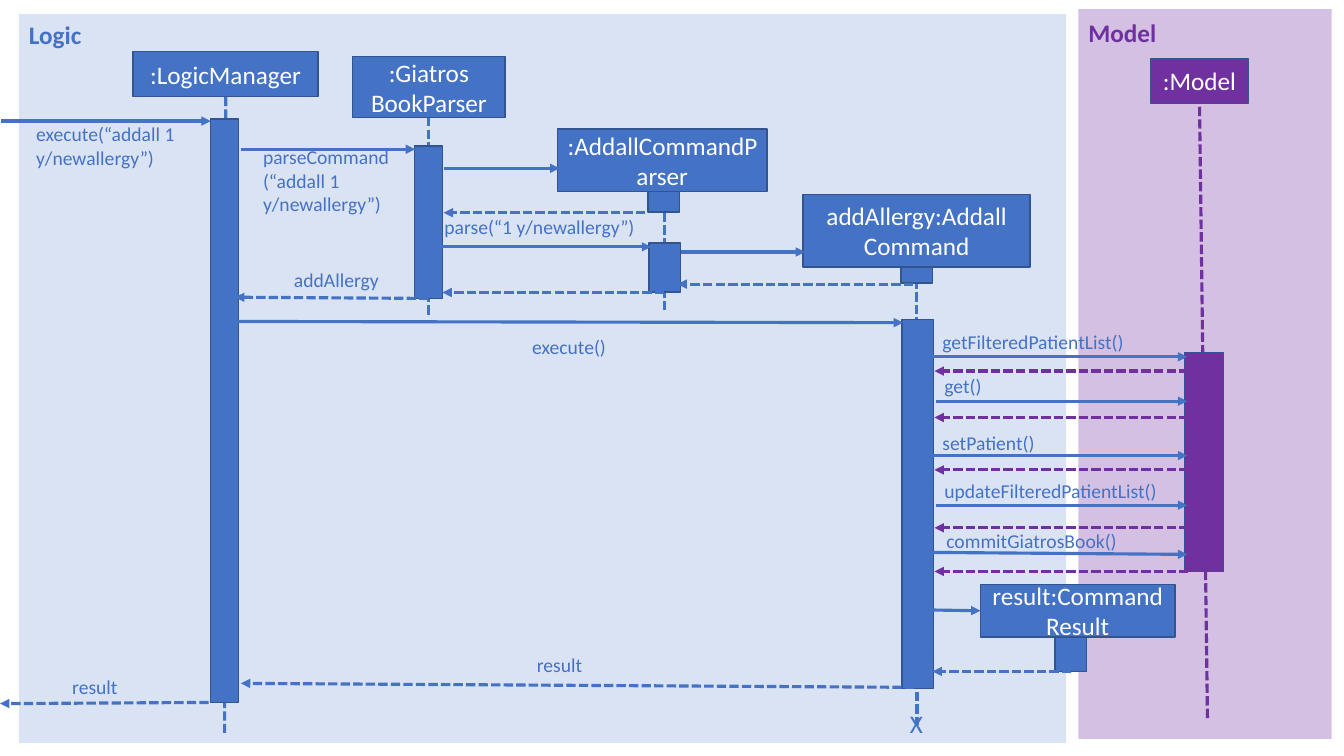
"""Sequence diagram of the addall command across the Logic and Model components."""
from dataclasses import dataclass

from lxml import etree
from pptx import Presentation
from pptx import util as u
from pptx.dml.color import RGBColor
from pptx.enum import dml, shapes, text
from pptx.oxml import ns

BLUE, PURPLE, PALE, EDGE, WHITE = "4472C4", "7030A0", "DAE3F3", "325491", "FFFFFF"


@dataclass
class Block:
    """A filled rectangle, in centimetres."""
    left: float
    top: float
    width: float
    height: float
    fill: str = BLUE
    edge: str | None = EDGE
    caption: str = ""
    opacity: int = 100


@dataclass
class Stroke:
    """A straight line, in centimetres."""
    x1: float
    y1: float
    x2: float
    y2: float
    color: str = BLUE
    dashed: bool = False
    arrow: bool = True


@dataclass
class Label:
    """Free text, in centimetres."""
    words: str
    left: float
    top: float
    width: float
    height: float = 0.87
    size: int = 14
    color: str = BLUE
    bold: bool = False


PANELS = [
    Block(0.48, 0.36, 26.39, 18.36, PALE, None),
    Block(27.18, 0.23, 6.38, 18.39, PURPLE, None, opacity=30),
]
LIFELINES = [Stroke(*ends, dashed=True, arrow=False) for ends in [
    (5.69, 2.44, 5.66, 18.47),
    (10.8, 2.95, 10.8, 7.95),
    (16.74, 5.05, 16.74, 7.87),
    (23.09, 6.73, 23.09, 9.14),
    (23.11, 15.85, 23.11, 18.26),
    (30.23, 2.69, 30.43, 18.16, PURPLE),
]]
ACTIVATIONS = [
    Block(5.31, 3, 0.71, 14.71),
    Block(10.44, 3.68, 0.71, 3.84),
    Block(16.33, 4.78, 0.79, 0.56),
    Block(16.36, 6.12, 0.79, 1.24),
    Block(22.71, 6.65, 0.79, 0.48),
    Block(22.73, 8.05, 0.79, 9.3),
    Block(26.59, 16.03, 0.79, 0.89),
    Block(29.85, 8.89, 0.99, 5.51, PURPLE),
]
PARTICIPANTS = [
    Block(3.35, 1.3, 4.67, 1.14, caption=":LogicManager"),
    Block(8.89, 1.42, 3.84, 1.55, caption=":Giatros\nBookParser"),
    Block(14.05, 3.25, 5.28, 1.57, caption=":AddallCommandParser"),
    Block(20.24, 4.9, 5.72, 1.83, caption="addAllergy:Addall\nCommand"),
    Block(24.71, 14.73, 4.9, 1.32, caption="result:CommandResult"),
    Block(29.01, 1.47, 2.44, 1.14, PURPLE, caption=":Model"),
]
CALLS = [Stroke(*ends) for ends in [
    (0.03, 3.05, 5.31, 3.05),
    (6.07, 3.76, 10.46, 3.76),
    (11.18, 4.24, 14.1, 4.24),
    (10.9, 6.22, 16.41, 6.22),
    (17.17, 6.35, 20.29, 6.35),
    (5.84, 8.1, 22.76, 8.13),
    (23.42, 15.37, 24.71, 15.39),
    (23.44, 8.99, 29.92, 8.99),
    (23.6, 10.11, 29.92, 10.11),
    (23.44, 11.48, 29.92, 11.48),
    (23.6, 12.73, 29.92, 12.73),
    (23.5, 13.92, 29.92, 13.97),
]]
LOGIC_RETURNS = [Stroke(*ends, dashed=True) for ends in [
    (16.26, 5.36, 11.18, 5.36),
    (23.01, 7.16, 17.07, 7.16),
    (16.74, 7.37, 11.15, 7.37),
    (10.8, 7.52, 5.92, 7.49),
    (27, 16.92, 23.5, 16.92),
    (23.04, 17.32, 6.07, 17.22),
    (5.26, 17.7, 0, 17.73),
]]
MODEL_RETURNS = [Stroke(29.95, y, 23.55, y, PURPLE, dashed=True)
                 for y in (9.35, 10.52, 11.84, 13.3, 14.4)]
LABELS = [
    Label("Logic", 0.48, 0.36, 2.5, 1.02, 18, bold=True),
    Label("Model", 27.18, 0.3, 2.6, 1.02, 18, PURPLE, True),
    Label("execute(“addall 1 y/newallergy”)", 0.66, 2.95, 5.03, 1.45),
    Label("parseCommand\n(“addall 1 y/newallergy”)", 6.38, 3.53, 4.24, 2.06),
    Label("parse(“1 y/newallergy”)", 10.95, 5.28, 7.26),
    Label("addAllergy", 7.16, 6.63, 4.24),
    Label("execute()", 13.16, 8.31, 2.84),
    Label("getFilteredPatientList()", 23.5, 8.2, 5.3),
    Label("get()", 23.55, 9.3, 1.6),
    Label("setPatient()", 23.5, 10.74, 3),
    Label("updateFilteredPatientList()", 23.55, 11.94, 6.1),
    Label("commitGiatrosBook()", 23.6, 13.21, 5),
    Label("result", 13.28, 16.33, 2.74),
    Label("result", 1.57, 16.87, 2.74),
    Label("X", 22.68, 17.73, 2.74, 1.02, 18),
]


def rgb(value: str) -> RGBColor:
    """Turn a hex string into a colour."""
    return RGBColor.from_string(value)


def write(frame, words: str, *, size: int, color: str, bold: bool = False,
          align=text.PP_ALIGN.LEFT, anchor=text.MSO_ANCHOR.TOP) -> None:
    """Fill a text frame, one paragraph per line of words."""
    frame.word_wrap = True
    frame.vertical_anchor = anchor
    frame.text = words
    for paragraph in frame.paragraphs:
        paragraph.alignment = align
        font = paragraph.font
        for run in paragraph.runs:
            font = run.font
            font.name, font.size, font.bold = "Calibri", u.Pt(size), bold
            font.color.rgb = rgb(color)


def draw_block(slide, block: Block) -> None:
    """Draw a rectangle with its caption."""
    box = slide.shapes.add_shape(
        shapes.MSO_SHAPE.RECTANGLE, u.Cm(block.left), u.Cm(block.top),
        u.Cm(block.width), u.Cm(block.height))
    box.shadow.inherit = False
    box.fill.solid()
    box.fill.fore_color.rgb = rgb(block.fill)
    if block.opacity < 100:
        tint = box.fill._xPr.find(".//" + ns.qn("a:srgbClr"))
        etree.SubElement(tint, ns.qn("a:alpha"), val=str(block.opacity * 1000))
    if block.edge:
        box.line.color.rgb = rgb(block.edge)
        box.line.width = u.Pt(1)
    else:
        box.line.fill.background()
    if block.caption:
        write(box.text_frame, block.caption, size=18, color=WHITE,
              align=text.PP_ALIGN.CENTER, anchor=text.MSO_ANCHOR.MIDDLE)


def draw_stroke(slide, stroke: Stroke) -> None:
    """Draw a lifeline or a message arrow."""
    link = slide.shapes.add_connector(
        shapes.MSO_CONNECTOR.STRAIGHT, u.Cm(stroke.x1), u.Cm(stroke.y1),
        u.Cm(stroke.x2), u.Cm(stroke.y2))
    link.line.color.rgb = rgb(stroke.color)
    link.line.width = u.Pt(2.25)
    if stroke.dashed:
        link.line.dash_style = dml.MSO_LINE.SQUARE_DOT
    if stroke.arrow:
        etree.SubElement(link.line._get_or_add_ln(), ns.qn("a:tailEnd"), type="triangle")
    etree.SubElement(link._element.spPr, ns.qn("a:effectLst"))


def draw_label(slide, label: Label) -> None:
    """Draw a piece of free text."""
    box = slide.shapes.add_textbox(u.Cm(label.left), u.Cm(label.top),
                                   u.Cm(label.width), u.Cm(label.height))
    write(box.text_frame, label.words, size=label.size, color=label.color, bold=label.bold)


deck = Presentation()
deck.slide_width, deck.slide_height = u.Cm(33.87), u.Cm(19.05)
diagram = deck.slides.add_slide(deck.slide_layouts[6])
for draw, parts in [
    (draw_block, PANELS),
    (draw_stroke, LIFELINES),
    (draw_block, ACTIVATIONS + PARTICIPANTS),
    (draw_stroke, CALLS + LOGIC_RETURNS + MODEL_RETURNS),
    (draw_label, LABELS),
]:
    for part in parts:
        draw(diagram, part)
deck.save("out.pptx")
